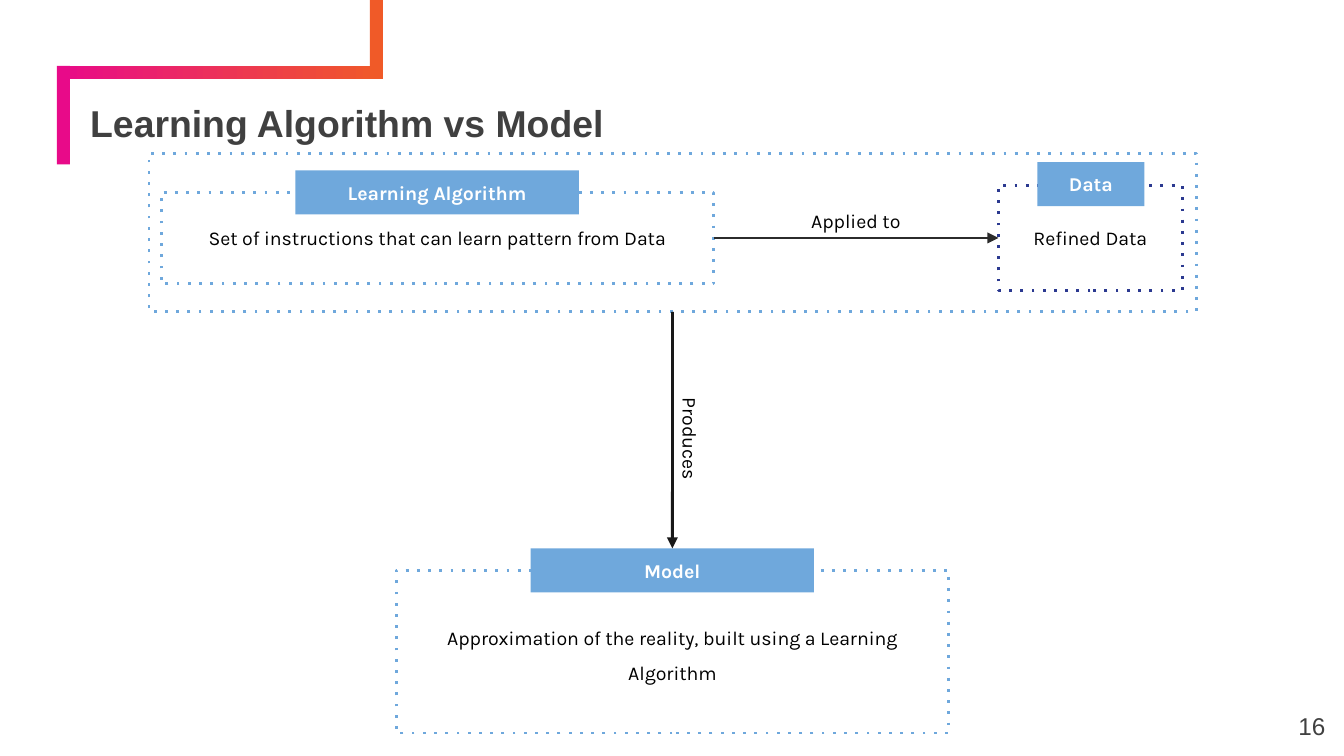
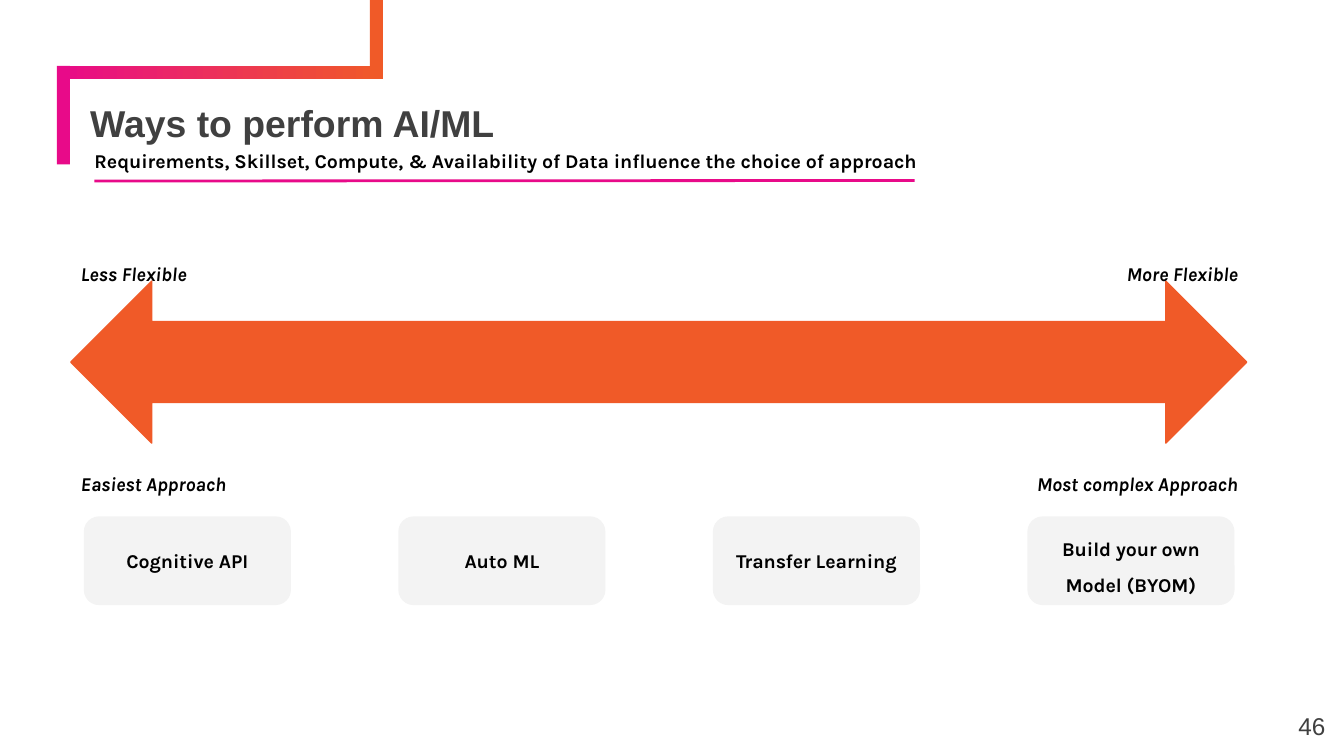
from dataclasses import dataclass

from lxml.etree import SubElement
from pptx import Presentation
from pptx.dml.color import RGBColor as RGB
from pptx.enum.dml import MSO_LINE as Dash
from pptx.enum.shapes import MSO_CONNECTOR as Conn, MSO_SHAPE as Shape
from pptx.enum.text import MSO_ANCHOR as Anchor, PP_ALIGN as Align
from pptx.oxml.ns import qn
from pptx.util import Pt


@dataclass(frozen=True)
class Theme:
    pink: str = "E80A89"
    orange: str = "F05A28"
    blue: str = "6FA8DC"
    navy: str = "2B3990"
    grey: str = "F3F3F3"
    heading: str = "404040"
    text: str = "000000"
    white: str = "FFFFFF"
    arrow: str = "2B2B2B"
    arrow_dark: str = "181818"
    title_font: str = "Arial"
    body_font: str = "Karla"
    title_size: float = 20
    body_size: float = 10.5
    number_size: float = 13
    thin: float = 0.75
    thick: float = 1.5


T = Theme()


def add_box(s, at, text="", kind=None, fill=None, line=None, dotted=False,
            size=T.body_size, font=T.body_font, color=T.text, bold=False,
            italic=False, align=Align.CENTER, spacing=None, anchor=None,
            inset=5, top=None):
    """Add a preset shape, or a plain text box when no kind is given."""
    at = [Pt(v) for v in at]
    sp = s.shapes.add_shape(kind, *at) if kind else s.shapes.add_textbox(*at)
    if kind:
        sp.shadow.inherit = False
    if fill:
        sp.fill.solid()
        sp.fill.fore_color.rgb = RGB.from_string(fill)
    else:
        sp.fill.background()
    if line:
        sp.line.color.rgb = RGB.from_string(line)
        sp.line.width = Pt(T.thick if dotted else T.thin)
        if dotted:
            sp.line.dash_style = Dash.ROUND_DOT
            sp._element.find(".//" + qn("a:prstDash")).set("val", "dot")
    else:
        sp.line.fill.background()
    if text:
        tf = sp.text_frame
        tf.word_wrap = True
        tf.vertical_anchor = anchor or (Anchor.MIDDLE if kind else Anchor.TOP)
        tf.margin_left = tf.margin_right = tf.margin_bottom = Pt(inset)
        tf.margin_top = Pt(inset if top is None else top)
        p = tf.paragraphs[0]
        p.alignment = align
        if spacing:
            p.line_spacing = spacing
        r = p.add_run()
        r.text = text
        r.font.size, r.font.name = Pt(size), font
        r.font.bold, r.font.italic = bold, italic
        r.font.color.rgb = RGB.from_string(color)
    return sp


def add_line(s, x1, y1, x2, y2, color, head=False):
    cx = s.shapes.add_connector(Conn.STRAIGHT, Pt(x1), Pt(y1), Pt(x2), Pt(y2))
    cx.line.color.rgb = RGB.from_string(color)
    cx.line.width = Pt(T.thick)
    if head:
        SubElement(cx._element.spPr.find(qn("a:ln")), qn("a:tailEnd"), type="triangle")
    SubElement(cx._element.spPr, qn("a:effectLst"))
    return cx


prs = Presentation()
prs.slide_width, prs.slide_height = Pt(720), Pt(405)

# Shared frame, title and page number
slides = []
for title, number in [("Learning Algorithm vs Model", "16"),
                      ("Ways to perform AI/ML", "46")]:
    s = prs.slides.add_slide(prs.slide_layouts[6])
    bar = add_box(s, (30.5, 35.3, 174.7, 7), kind=Shape.RECTANGLE)
    bar.fill.gradient()
    bar.fill.gradient_angle = 0
    for stop, color in zip(bar.fill.gradient_stops, (T.pink, T.orange)):
        stop.color.rgb = RGB.from_string(color)
    add_box(s, (30.5, 35.3, 7, 52.8), kind=Shape.RECTANGLE, fill=T.pink)
    add_box(s, (198.2, 0, 7, 42.3), kind=Shape.RECTANGLE, fill=T.orange)
    add_box(s, (48.3, 56.2, 650, 24.5), title, size=T.title_size,
            font=T.title_font, color=T.heading, bold=True, align=Align.LEFT,
            spacing=0.9, inset=0)
    add_box(s, (673.9, 373.7, 43.2, 31), number, size=T.number_size,
            font=T.title_font, color=T.heading, align=Align.RIGHT, inset=7.2)
    slides.append(s)

# Slide 1: dotted panels
s = slides[0]
dotted = dict(kind=Shape.RECTANGLE, line=T.blue, dotted=True)
outer = add_box(s, (79.8, 82.1, 561, 85), **dotted)
algorithm = add_box(s, (86.4, 103, 296, 49),
                    "Set of instructions that can learn pattern from Data", **dotted)
data = add_box(s, (534.9, 99.4, 98.6, 56.2), "Refined Data",
               **{**dotted, "line": T.navy})
add_box(s, (212.3, 305.5, 296, 87.3),
        "Approximation of the reality, built using a Learning Algorithm",
        spacing=1.5, anchor=Anchor.TOP, top=23.5, **dotted)

# Slide 1: panel headings
headings = {}
for text, x, y, w in [("Learning Algorithm", 158.3, 91.3, 151.8),
                      ("Model", 284.3, 293.8, 151.8),
                      ("Data", 555.7, 86.8, 57.4)]:
    headings[text] = add_box(s, (x, y, w, 23.6), text, kind=Shape.RECTANGLE,
                             fill=T.blue, color=T.white, bold=True)

# Slide 1: arrows and their labels
for start, start_side, end, end_side, color in [
        (algorithm, 3, data, 1, T.arrow),
        (outer, 2, headings["Model"], 0, T.arrow_dark)]:
    cx = add_line(s, 0, 0, 0, 0, color, head=True)
    cx.begin_connect(start, start_side)
    cx.end_connect(end, end_side)
add_box(s, (388, 106.8, 141, 23.6), "Applied to")
add_box(s, (298.8, 223.2, 141, 23.6), "Produces").rotation = 90

# Slide 2: underlined statement
s = slides[1]
add_box(s, (45.6, 74.9, 500, 23.6),
        "Requirements, Skillset, Compute, & Availability of Data influence "
        "the choice of approach", bold=True, align=Align.LEFT)
add_line(s, 50.6, 97, 490, 96.7, T.pink)

# Slide 2: range arrow with labels at both ends
add_box(s, (37.9, 150.6, 630, 86.8), kind=Shape.LEFT_RIGHT_ARROW,
        fill=T.orange, line=T.orange)
for y, left, right in [(128.8, "Less Flexible", "More Flexible"),
                       (241.4, "Easiest Approach", "Most complex Approach")]:
    for text, x, w, align in [(left, 38.3, 168.5, Align.LEFT),
                              (right, 475.2, 193, Align.RIGHT)]:
        add_box(s, (x, y, w, 30), text, bold=True, italic=True,
                align=align, spacing=1.5)

# Slide 2: approaches, evenly spaced
for i, (text, spacing) in enumerate([("Cognitive API", None), ("Auto ML", None),
                                     ("Transfer Learning", None),
                                     ("Build your own Model (BYOM)", 1.5)]):
    add_box(s, (45.3 + 168.5 * i, 277, 110.2, 46.8), text,
            kind=Shape.ROUNDED_RECTANGLE, fill=T.grey, line=T.grey,
            bold=True, spacing=spacing)

prs.save("out.pptx")
